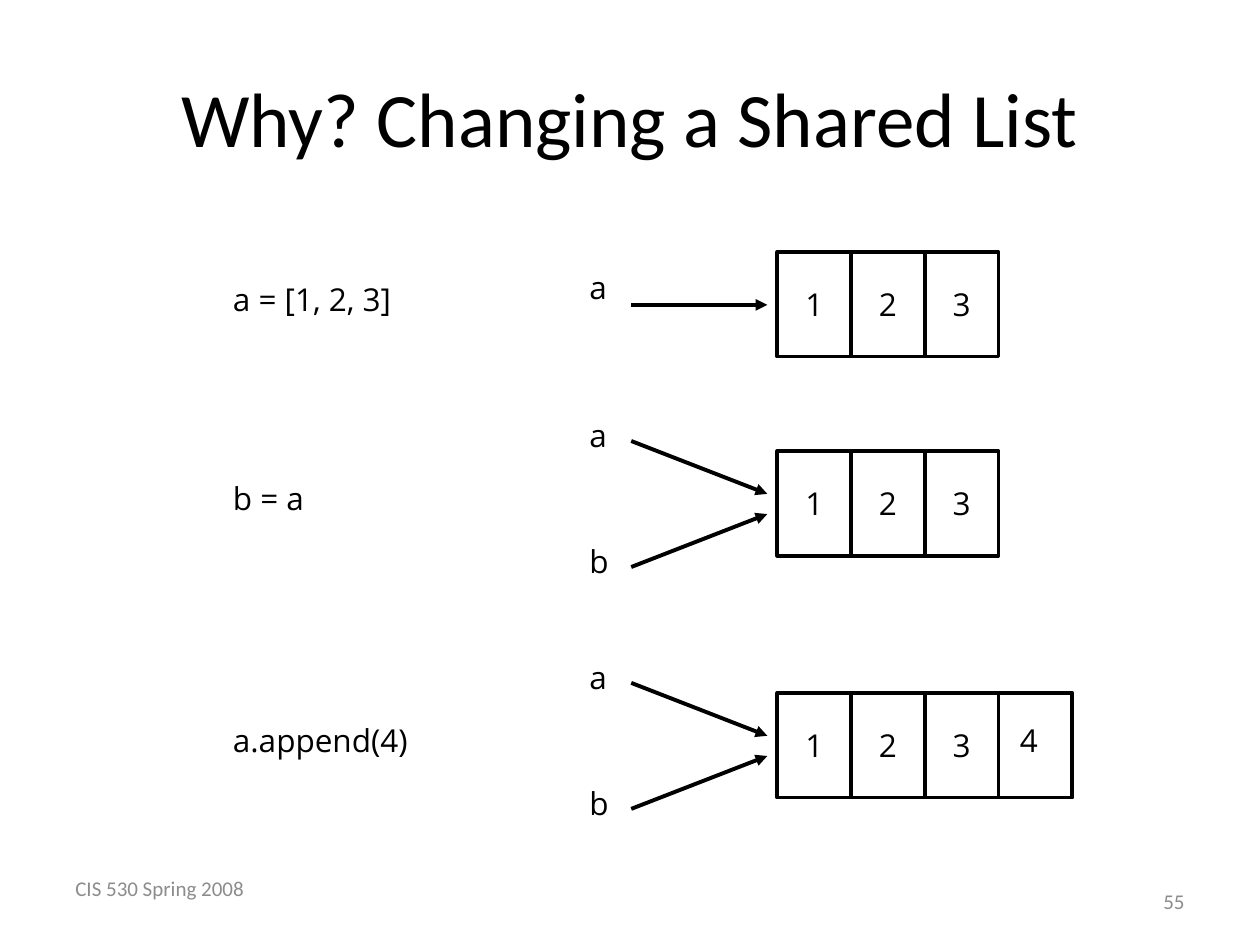
from dataclasses import dataclass

from lxml import etree
from pptx import Presentation
from pptx.dml.color import RGBColor
from pptx.enum.shapes import MSO_CONNECTOR, MSO_SHAPE
from pptx.enum.text import MSO_ANCHOR, PP_ALIGN
from pptx.oxml.ns import qn
from pptx.util import Inches, Pt

STRAIGHT = MSO_CONNECTOR.STRAIGHT
RECTANGLE = MSO_SHAPE.RECTANGLE
TOP, MIDDLE = MSO_ANCHOR.TOP, MSO_ANCHOR.MIDDLE
LEFT, CENTER, RIGHT = PP_ALIGN.LEFT, PP_ALIGN.CENTER, PP_ALIGN.RIGHT
TITLE_ONLY_LAYOUT = 5


@dataclass(frozen=True)
class Theme:
    """Colours, fonts and sizes of the slide."""
    ink: RGBColor = RGBColor(0, 0, 0)
    muted: RGBColor = RGBColor(0x8C, 0x8C, 0x8C)
    heading_font: str = "Calibri"
    body_font: str = "Open Sans"
    title_size: Pt = Pt(44)
    body_size: Pt = Pt(18)
    footer_size: Pt = Pt(12)
    line_width: Pt = Pt(2.25)


THEME = Theme()
TITLE_FORMAT = {"name": THEME.heading_font, "size": THEME.title_size, "color": THEME.ink}
BODY_FORMAT = {"name": THEME.body_font, "size": THEME.body_size, "color": THEME.ink}
FOOTER_FORMAT = {"name": THEME.heading_font, "size": THEME.footer_size, "color": THEME.muted}

CELL_WIDTH, CELL_HEIGHT = 0.585, 0.83
CELLS_LEFT = 6.17
STATEMENT_LEFT = 1.75
NAME_LEFT = 4.58
ARROW_START, ARROW_END = 5.01, 6.09
SINGLE_NAME = [("a", 0.08, 0.42, 0.42)]
SHARED_NAMES = [("a", -0.33, -0.08, 0.34), ("b", 0.67, 0.92, 0.5)]
ROWS = [
    (2, "a = [1, 2, 3]", SINGLE_NAME, "123"),
    (3.58, "b = a", SHARED_NAMES, "123"),
    (5.5, "a.append(4)", SHARED_NAMES, "1234"),
]


def write_text(shape, text, text_format, align=LEFT, anchor=TOP):
    """Fill a shape with one formatted paragraph."""
    frame = shape.text_frame
    frame.word_wrap = True
    frame.vertical_anchor = anchor
    paragraph = frame.paragraphs[0]
    paragraph.alignment = align
    run = paragraph.add_run()
    run.text = text
    for name, value in text_format.items():
        if name == "color":
            run.font.color.rgb = value
        else:
            setattr(run.font, name, value)


def add_label(slide, box, text, text_format=BODY_FORMAT, **placement):
    """Add a text box in the given box."""
    shape = slide.shapes.add_textbox(*map(Inches, box))
    write_text(shape, text, text_format, **placement)


def add_arrow(slide, start, end):
    """Add a straight arrow between two points."""
    arrow = slide.shapes.add_connector(STRAIGHT, *map(Inches, start + end))
    arrow.line.color.rgb = THEME.ink
    arrow.line.width = THEME.line_width
    etree.SubElement(arrow.line._get_or_add_ln(), qn("a:tailEnd"), type="triangle")
    etree.SubElement(arrow._element.spPr, qn("a:effectLst"))


def add_cell(slide, left, top):
    """Add one outlined list cell."""
    cell = slide.shapes.add_shape(
        RECTANGLE, *map(Inches, (left, top, CELL_WIDTH, CELL_HEIGHT)))
    cell.shadow.inherit = False
    cell.fill.background()
    cell.line.color.rgb = THEME.ink
    cell.line.width = THEME.line_width
    return cell


def add_list_cells(slide, left, top, values):
    """Add a list as adjoining cells, with an appended fourth value set higher."""
    for index, value in enumerate(values):
        cell_left = left + index * CELL_WIDTH
        cell = add_cell(slide, cell_left, top)
        if index < 3:
            write_text(cell, value, BODY_FORMAT, CENTER, MIDDLE)
        else:
            add_label(slide, (cell_left + 0.07, top + 0.17, 0.41, 0.5), value)


def add_row(slide, top, statement, names, values):
    """Add a statement with the names that point to its list."""
    add_label(slide, (STATEMENT_LEFT, top + 0.17, 2.33, 0.5), statement)
    for name, label_offset, start_offset, end_offset in names:
        add_label(slide, (NAME_LEFT, top + label_offset, 0.41, 0.5), name)
        add_arrow(slide, (ARROW_START, top + start_offset), (ARROW_END, top + end_offset))
    add_list_cells(slide, CELLS_LEFT, top, values)


def add_title(slide, box, text):
    """Place and fill the title placeholder."""
    title = slide.shapes.title
    title.left, title.top, title.width, title.height = map(Inches, box)
    write_text(title, text, TITLE_FORMAT, CENTER, MIDDLE)


def add_footer(slide, box, course, number):
    """Add the course name and the slide number at the ends of the box."""
    left, top, width, height = box
    part = 2.33
    add_label(slide, (left, top - 0.1, part, height), course, FOOTER_FORMAT, anchor=MIDDLE)
    add_label(slide, (left + width - part, top, part, height), number, FOOTER_FORMAT,
              align=RIGHT, anchor=MIDDLE)


def main():
    """Build and save the slide."""
    presentation = Presentation()
    presentation.slide_width, presentation.slide_height = Inches(10), Inches(7.5)
    slide = presentation.slides.add_slide(presentation.slide_layouts[TITLE_ONLY_LAYOUT])
    add_title(slide, (0.5, 0.3, 9, 1.25), "Why? Changing a Shared List")
    for row in ROWS:
        add_row(slide, *row)
    add_footer(slide, (0.5, 6.95, 9, 0.4), "CIS 530 Spring 2008", "55")
    presentation.save("out.pptx")


if __name__ == "__main__":
    main()
